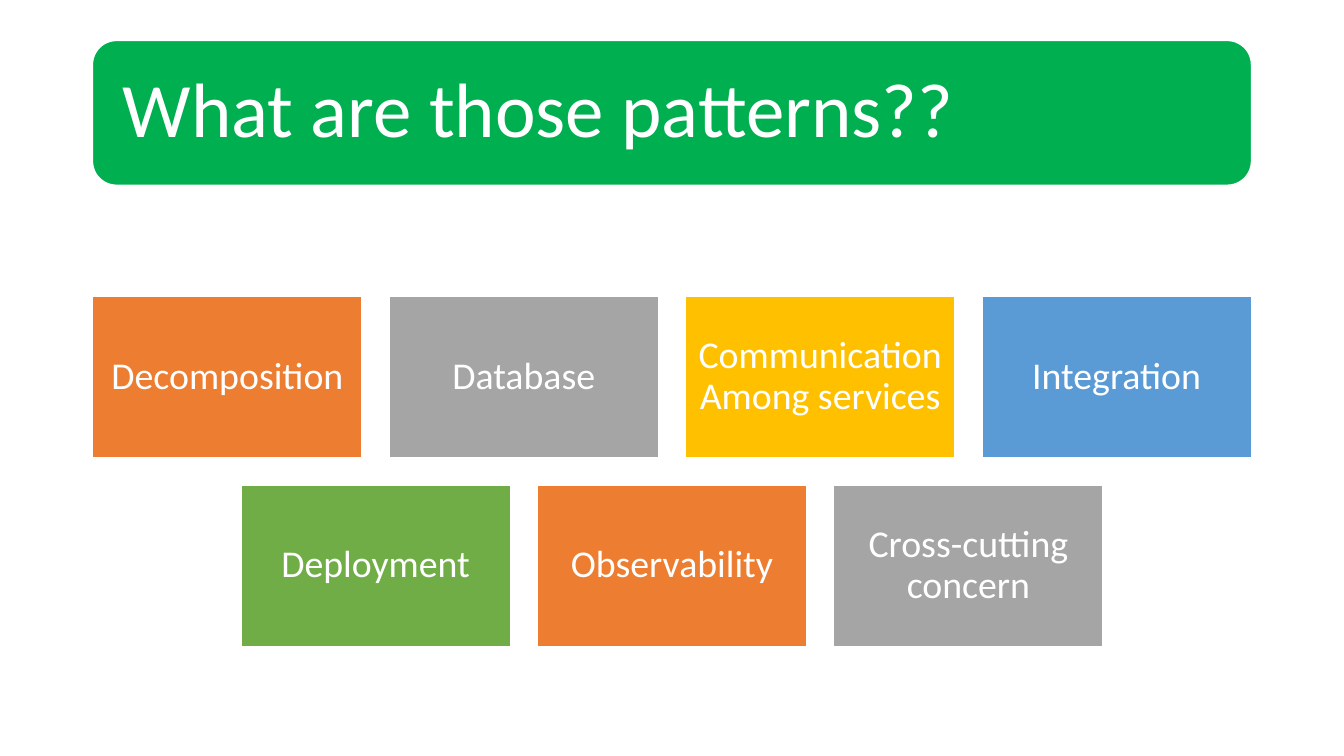
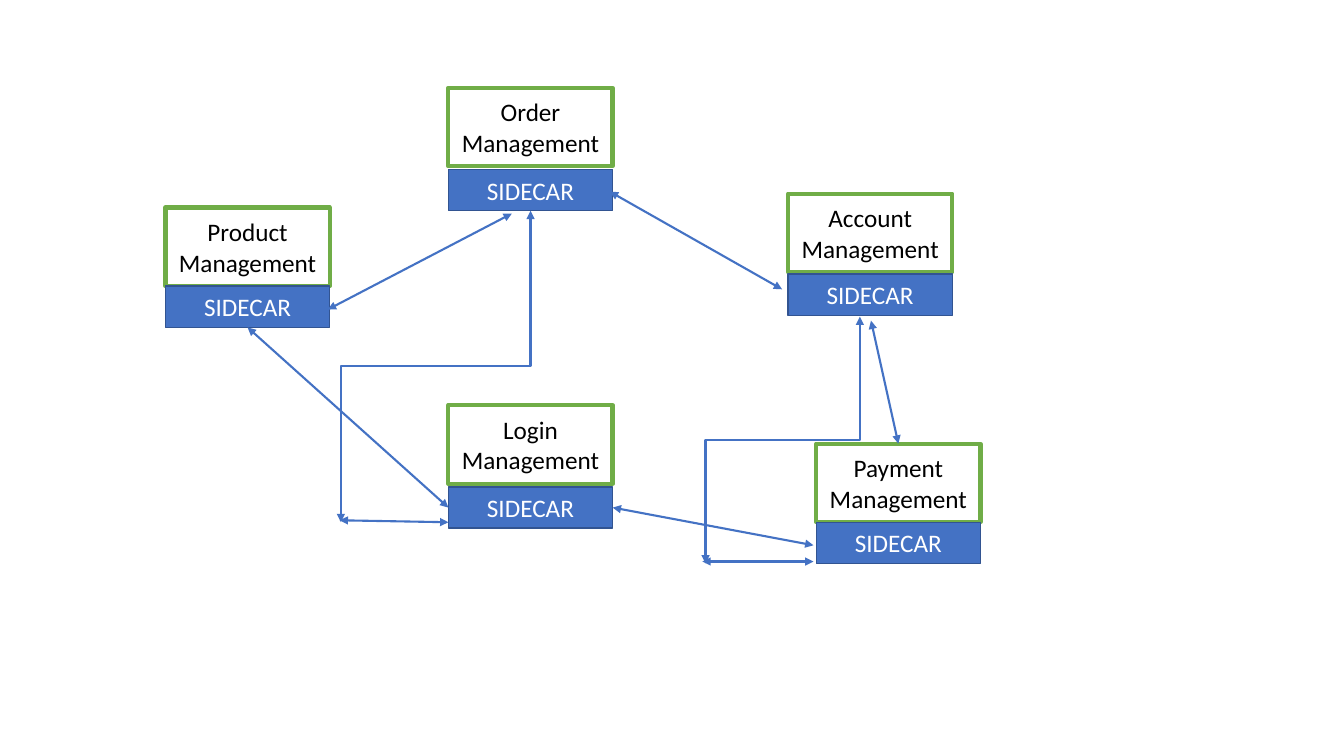
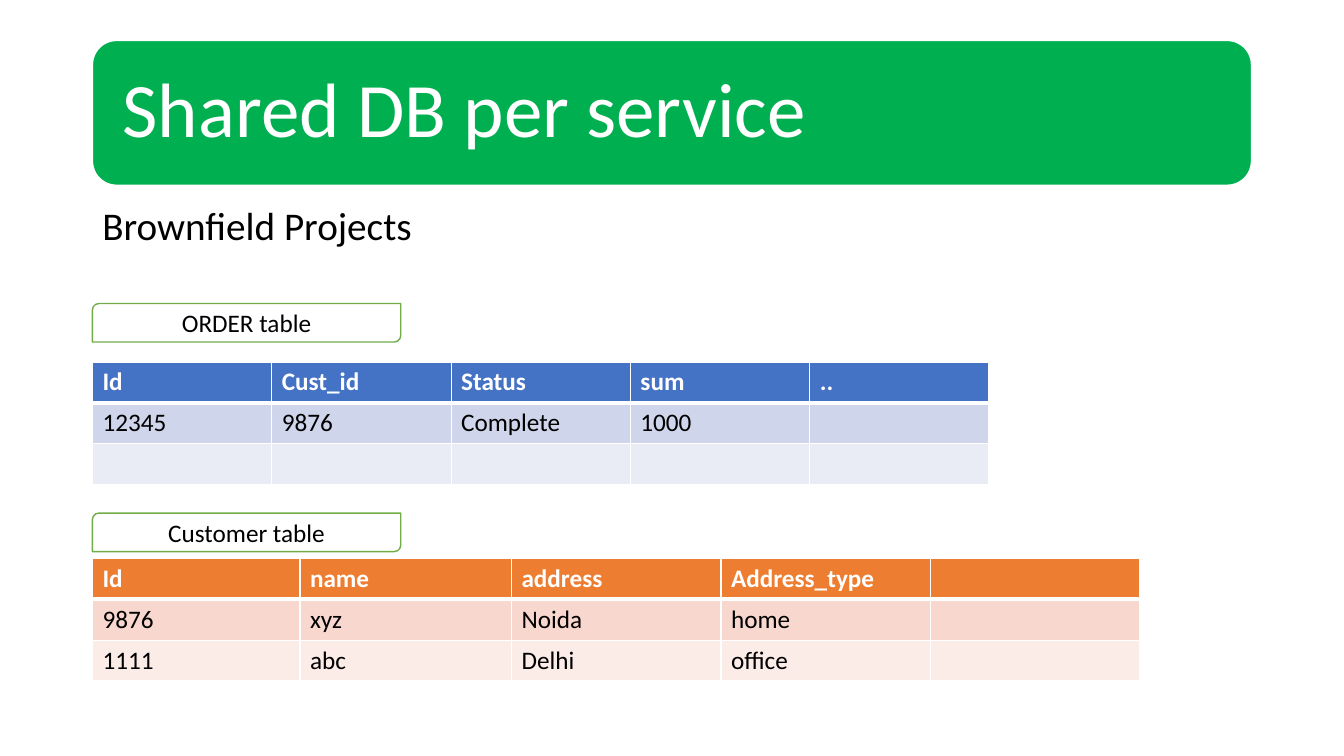
"""Build three slides on microservice patterns, sidecars and a shared database."""
import itertools

import pptx
import pptx.dml.color
import pptx.enum.shapes
import pptx.enum.text
import pptx.oxml
import pptx.oxml.ns
import pptx.util

Cm, Pt = pptx.util.Cm, pptx.util.Pt
RGB = pptx.dml.color.RGBColor.from_string
KIND = pptx.enum.shapes.MSO_SHAPE
LINK = pptx.enum.shapes.MSO_CONNECTOR
ALIGN = pptx.enum.text.PP_ALIGN
MID = pptx.enum.text.MSO_ANCHOR.MIDDLE
NS = pptx.oxml.ns.nsdecls("a")

HUES = {"white": "FFFFFF", "black": "000000", "band": "00B050",
        "orange": "ED7D31", "grey": "A5A5A5", "gold": "FFC000",
        "sky": "5B9BD5", "green": "70AD47", "blue": "4472C4",
        "navy": "325491", "blue1": "CFD5EA", "blue2": "E9EBF5",
        "peach1": "F8D7CE", "peach2": "FCECE8"}
WIDE, HIGH = 33.87, 19.05
LEFT, SPAN = 2.33, 29.21

ROWS = [["Decomposition", "Database", "Communication Among services", "Integration"],
        ["Deployment", "Observability", "Cross-cutting concern"]]
TINTS = ["orange", "grey", "gold", "sky", "green"]
TILE = {"wide": 6.79, "high": 4.07, "gap": 0.68, "top": 7.47}

NODES = {"Order": (11.3, 2.21, 4.27), "Login": (11.3, 10.21, 12.27),
         "Account": (19.86, 4.88, 6.91), "Payment": (20.57, 11.18, 13.16),
         "Product": (4.17, 5.23, 7.21)}
NODE = {"wide": 4.14, "high": 1.98, "side": 1.04}
LINKS = [("line", (8.26, 7.8), (12.9, 5.38)),
         ("line", (15.37, 4.83), (19.71, 7.29)),
         ("line", (21.95, 8.08), ("Payment box", 0)),
         ("line", ("Product car", 2), ("Login car", 1)),
         ("line", ("Login car", 3), (20.5, 13.74)),
         ("bent", ("Order car", 2), (8.59, 13.16)),
         ("line", (8.56, 13.11), (11.3, 13.16)),
         ("bent", (21.67, 7.98), (17.78, 14.2)),
         ("line", (17.7, 14.15), (20.5, 14.15))]

TABLES = [
    {"name": "ORDER table", "tag": 7.65, "top": 9.12, "cols": [4.52] * 5,
     "fills": ["blue", "blue1", "blue2"],
     "rows": [["Id", "Cust_id", "Status", "sum", ".."],
              ["12345", "9876", "Complete", "1000", ""],
              [""] * 5]},
    {"name": "Customer table", "tag": 12.93, "top": 14.07,
     "cols": [5.23, 5.33, 5.28, 5.28, 5.28],
     "fills": ["orange", "peach1", "peach2"],
     "rows": [["Id", "name", "address", "Address_type", ""],
              ["9876", "xyz", "Noida", "home", ""],
              ["1111", "abc", "Delhi", "office", ""]]}]


def put(item, values):
    for key, value in values.items():
        setattr(item, key, value)


def paint(fill, hue):
    fill.solid()
    fill.fore_color.rgb = RGB(HUES[hue])


def write(frame, text, size, hue, align=ALIGN.LEFT, inset=None, bold=False, space=None):
    put(frame, {"word_wrap": True, "vertical_anchor": MID})
    if inset is not None:
        put(frame, {"margin_" + side: Cm(inset) for side in ("left", "right", "top", "bottom")})
    frame.text = text
    part = frame.paragraphs[0]
    put(part, {"alignment": align, "line_spacing": space})
    put(part.font, {"size": Pt(size), "name": "Calibri", "bold": bold})
    part.font.color.rgb = RGB(HUES[hue])
    return part


def block(slide, kind, place, fill, edge, weight=1):
    shape = slide.shapes.add_shape(kind, *map(Cm, place))
    shape.shadow.inherit = False
    paint(shape.fill, fill)
    shape.line.color.rgb = RGB(HUES[edge])
    shape.line.width = Pt(weight)
    return shape


def head(deck, text):
    slide = deck.slides.add_slide(deck.slide_layouts[5])
    title = slide.shapes.title
    band = block(slide, KIND.ROUNDED_RECTANGLE, (LEFT, 1.02, SPAN, 3.65), "band", "white")
    title.element.addprevious(band.element)
    put(title, {"left": Cm(2.51), "top": Cm(1.19), "width": Cm(28.85), "height": Cm(3.3)})
    write(title.text_frame, text, 55, "white", inset=0.58, space=0.9)
    title.text_frame.auto_size = pptx.enum.text.MSO_AUTO_SIZE.NONE
    return slide


def tiles(deck):
    slide = head(deck, "What are those patterns??")
    tints = itertools.cycle(TINTS)
    wide, high, gap = TILE["wide"], TILE["high"], TILE["gap"]
    for row, names in enumerate(ROWS):
        start = (WIDE - len(names) * (wide + gap) + gap) / 2
        top = TILE["top"] + row * (high + gap)
        for col, name in enumerate(names):
            place = (start + col * (wide + gap), top, wide, high)
            tile = block(slide, KIND.RECTANGLE, place, next(tints), "white")
            write(tile.text_frame, name, 27, "white", ALIGN.CENTER, 0.25, space=0.9)


def turn(wire):
    """Stand an elbow upright so that it leaves and arrives vertically."""
    x1, y1, x2, y2 = wire.begin_x, wire.begin_y, wire.end_x, wire.end_y
    wide, high = y2 - y1, x1 - x2
    frame = wire.element.spPr.find(pptx.oxml.ns.qn("a:xfrm"))
    for flip in ("flipH", "flipV"):
        frame.attrib.pop(flip, None)
    frame.set("rot", "5400000")
    put(wire, {"left": (x1 + x2 - wide) // 2, "top": (y1 + y2 - high) // 2,
               "width": wide, "height": high})


def join(slide, shapes, kind, ends):
    spots = [(0, 0) if end[0] in shapes else end for end in ends]
    form = LINK.ELBOW if kind == "bent" else LINK.STRAIGHT
    wire = slide.shapes.add_connector(form, *[Cm(n) for spot in spots for n in spot])
    for end, hook in zip(ends, (wire.begin_connect, wire.end_connect)):
        if end[0] in shapes:
            hook(shapes[end[0]], end[1])
    if kind == "bent":
        turn(wire)
    wire.line.color.rgb = RGB(HUES["blue"])
    wire.line.width = Pt(1.5)
    line = wire.line._get_or_add_ln()
    for tip in ("headEnd", "tailEnd"):
        line.append(pptx.oxml.parse_xml(f'<a:{tip} {NS} type="triangle"/>'))
    wire.element.spPr.append(pptx.oxml.parse_xml(f"<a:effectLst {NS}/>"))


def mesh(deck):
    slide = deck.slides.add_slide(deck.slide_layouts[6])
    shapes = {}
    for name, (x, y, low) in NODES.items():
        box = block(slide, KIND.RECTANGLE, (x, y, NODE["wide"], NODE["high"]),
                    "white", "green", 3)
        write(box.text_frame, name + " Management", 18, "black", ALIGN.CENTER)
        car = block(slide, KIND.RECTANGLE, (x, low, NODE["wide"], NODE["side"]),
                    "blue", "navy")
        write(car.text_frame, "SIDECAR", 18, "white", ALIGN.CENTER)
        shapes.update({name + " box": box, name + " car": car})
    for kind, *ends in LINKS:
        join(slide, shapes, kind, ends)


def edge(cell, row):
    heavy = {0: "B", 1: "T"}.get(row)
    for side in "LRTB":
        width = Pt(3 if side == heavy else 1)
        cell._tc.get_or_add_tcPr().append(pptx.oxml.parse_xml(
            f'<a:ln{side} {NS} w="{width}"><a:solidFill>'
            f'<a:srgbClr val="{HUES["white"]}"/></a:solidFill></a:ln{side}>'))


def grid(slide, data):
    rows, cols = data["rows"], data["cols"]
    place = map(Cm, (LEFT, data["top"], sum(cols), 1.03 * len(rows)))
    table = slide.shapes.add_table(len(rows), len(cols), *place).table
    table.horz_banding = False
    for col, wide in zip(table.columns, cols):
        col.width = Cm(wide)
    for r, texts in enumerate(rows):
        for c, text in enumerate(texts):
            cell = table.cell(r, c)
            edge(cell, r)
            paint(cell.fill, data["fills"][r])
            write(cell.text_frame, text, 18, "black" if r else "white", bold=not r)
            cell.vertical_anchor = pptx.enum.text.MSO_ANCHOR.TOP
    tag = block(slide, KIND.ROUND_2_DIAG_RECTANGLE, (LEFT, data["tag"], 7.77, 0.97),
                "white", "green")
    write(tag.text_frame, data["name"], 18, "black", ALIGN.CENTER)


def shared(deck):
    slide = head(deck, "Shared DB per service")
    body = slide.shapes.add_textbox(*map(Cm, (LEFT, 5.08, SPAN, 12.09)))
    part = body.text_frame.paragraphs[0]
    props = part._p.get_or_add_pPr()
    props.set("marL", str(Cm(0.64)))
    props.set("indent", str(-Cm(0.64)))
    for mark in ('buFont {} typeface="Arial"', 'buChar {} char="•"'):
        props.append(pptx.oxml.parse_xml(f"<a:{mark.format(NS)}/>"))
    write(body.text_frame, "Brownfield Projects", 28, "black", space=0.9)
    body.text_frame.vertical_anchor = pptx.enum.text.MSO_ANCHOR.TOP
    for data in TABLES:
        grid(slide, data)


def main():
    deck = pptx.Presentation()
    put(deck, {"slide_width": Cm(WIDE), "slide_height": Cm(HIGH)})
    for build in (tiles, mesh, shared):
        build(deck)
    deck.save("out.pptx")


if __name__ == "__main__":
    main()
